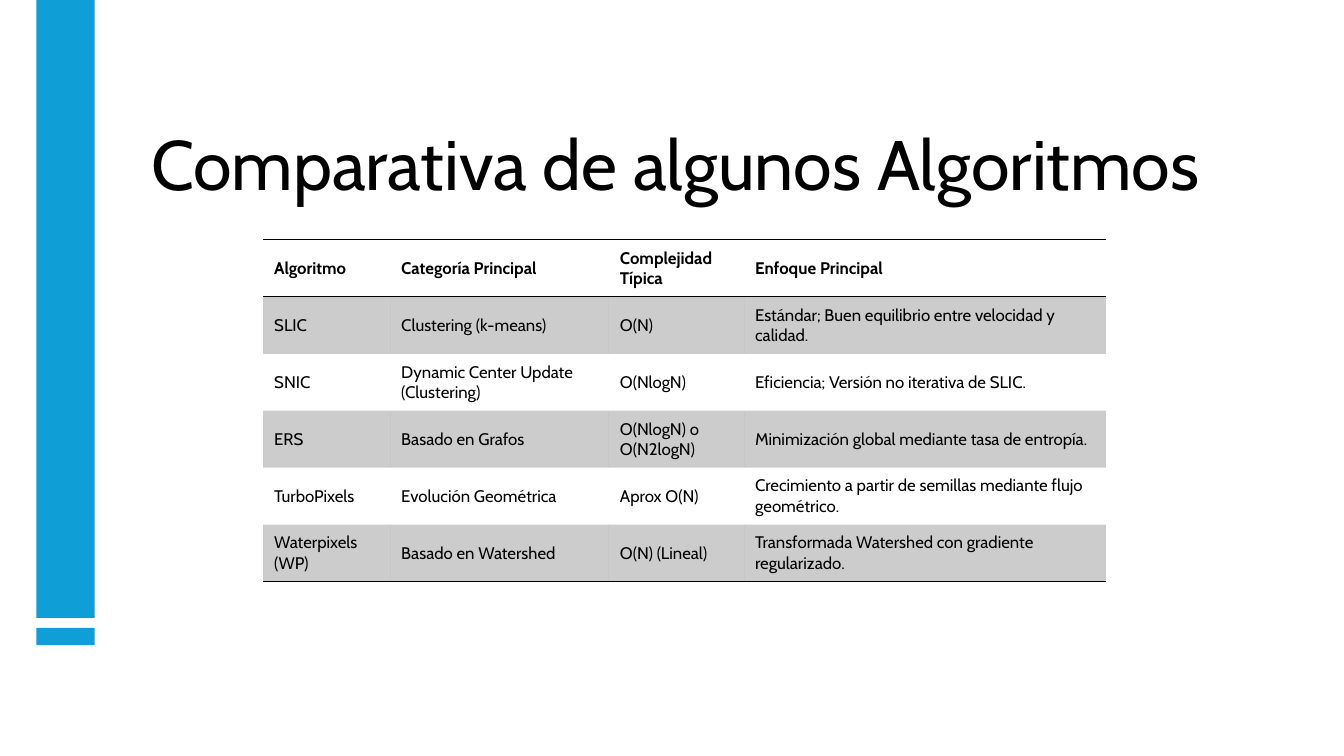
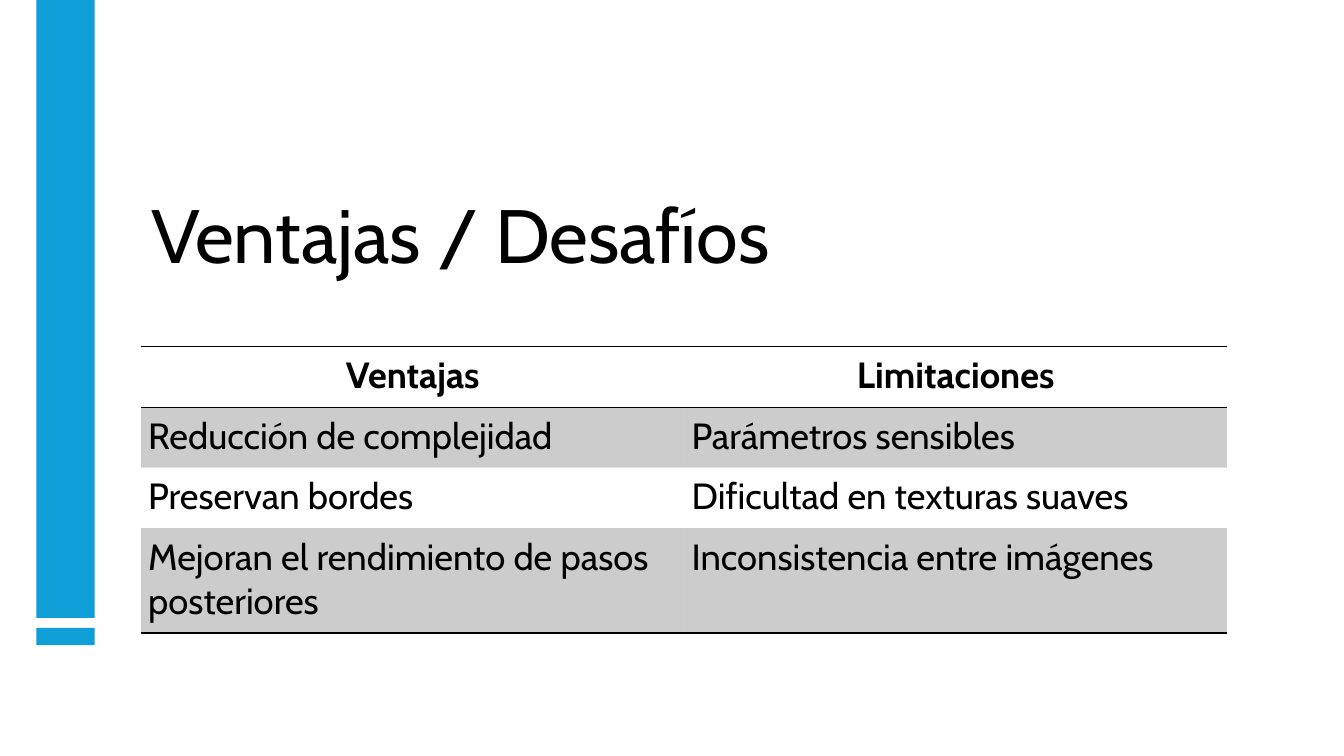
from dataclasses import dataclass

from lxml import etree
from pptx import Presentation
from pptx.dml.color import RGBColor
from pptx.enum.shapes import MSO_SHAPE
from pptx.enum.text import MSO_ANCHOR, PP_ALIGN
from pptx.oxml.ns import qn
from pptx.slide import Slide
from pptx.table import _Cell
from pptx.text.text import TextFrame
from pptx.util import Inches, Pt

RECT = MSO_SHAPE.RECTANGLE
TOP, MIDDLE, BOTTOM = MSO_ANCHOR.TOP, MSO_ANCHOR.MIDDLE, MSO_ANCHOR.BOTTOM
LEFT, CENTER = PP_ALIGN.LEFT, PP_ALIGN.CENTER
PLAIN = "{2D5ABB26-0587-4C30-8999-92F81FD0307C}"


@dataclass(frozen=True)
class Theme:
    font: str = "Cabin"
    ink: str = "000000"
    band: str = "0F9ED5"
    shade: int = 20
    rule: float = 1
    small: float = 12
    large: float = 26


@dataclass(frozen=True)
class Box:
    left: float
    top: float
    width: float
    height: float


@dataclass(frozen=True)
class Grid:
    left: float
    top: float
    cols: tuple[float, ...]
    rows: tuple[float, ...]
    cells: tuple[tuple[str, ...], ...]
    size: float
    pad: tuple[float, float]
    anchor: MSO_ANCHOR
    head: PP_ALIGN


@dataclass(frozen=True)
class Page:
    title: str
    size: float
    top: float
    grid: Grid


THEME = Theme()
BANDS = (Box(0.36, 6.23, 0.58, 0.17), Box(0.36, 0, 0.58, 6.13))
PAGES = (
    Page("Comparativa de algunos Algoritmos", 50, 0.61, Grid(
        2.61, 2.38, (1.26, 2.17, 1.34, 3.59), (0.565,) * 6,
        (
            ("Algoritmo", "Categoría Principal", "Complejidad Típica",
             "Enfoque Principal"),
            ("SLIC", "Clustering (k-means)", "O(N)",
             "Estándar; Buen equilibrio entre velocidad y calidad."),
            ("SNIC", "Dynamic Center Update (Clustering)", "O(NlogN)",
             "Eficiencia; Versión no iterativa de SLIC."),
            ("ERS", "Basado en Grafos", "O(NlogN) o O(N2logN)",
             "Minimización global mediante tasa de entropía."),
            ("TurboPixels", "Evolución Geométrica", "Aprox O(N)",
             "Crecimiento a partir de semillas mediante flujo geométrico."),
            ("Waterpixels (WP)", "Basado en Watershed", "O(N) (Lineal)",
             "Transformada Watershed con gradiente regularizado."),
        ),
        THEME.small, (0.11, 0.06), MIDDLE, LEFT)),
    Page("Ventajas / Desafíos", 54, 1.35, Grid(
        1.4, 3.44, (5.39, 5.38), (0.6, 0.6, 0.6, 1.04),
        (
            ("Ventajas", "Limitaciones"),
            ("Reducción de complejidad", "Parámetros sensibles"),
            ("Preservan bordes", "Dificultad en texturas suaves"),
            ("Mejoran el rendimiento de pasos posteriores",
             "Inconsistencia entre imágenes"),
        ),
        THEME.large, (0.07, 0.07), TOP, CENTER)),
)


def write(frame: TextFrame, text: str, *, size: float, bold: bool = False,
          align: PP_ALIGN = LEFT, space: float = 1) -> None:
    para = frame.paragraphs[0]
    para.alignment = align
    para.line_spacing = space
    run = para.add_run()
    run.text = text
    run.font.name = THEME.font
    run.font.size = Pt(size)
    run.font.bold = bold
    run.font.color.rgb = RGBColor.from_string(THEME.ink)


def add_band(slide: Slide, box: Box) -> None:
    band = slide.shapes.add_shape(RECT, Inches(box.left), Inches(box.top),
                                  Inches(box.width), Inches(box.height))
    band.shadow.inherit = False
    band.fill.solid()
    band.fill.fore_color.rgb = RGBColor.from_string(THEME.band)
    band.line.fill.background()


def add_title(slide: Slide, page: Page) -> None:
    box = slide.shapes.add_textbox(Inches(1.4), Inches(page.top),
                                   Inches(10.77), Inches(1.48))
    box.text_frame.word_wrap = True
    box.text_frame.vertical_anchor = BOTTOM
    write(box.text_frame, page.title, size=page.size, space=0.9)


def add_rule(cell: _Cell, side: str) -> None:
    props = cell._tc.get_or_add_tcPr()
    line = etree.SubElement(props, qn(f"a:ln{side}"), w=str(Pt(THEME.rule)))
    fill = etree.SubElement(line, qn("a:solidFill"))
    etree.SubElement(fill, qn("a:srgbClr"), val=THEME.ink)


def shade(cell: _Cell) -> None:
    cell.fill.solid()
    cell.fill.fore_color.rgb = RGBColor.from_string(THEME.ink)
    tint = cell._tc.tcPr.find(f"{qn('a:solidFill')}/{qn('a:srgbClr')}")
    etree.SubElement(tint, qn("a:alpha"), val=str(THEME.shade * 1000))


def fill_cell(cell: _Cell, text: str, row: int, grid: Grid) -> None:
    first, last = row == 0, row == len(grid.rows) - 1
    cell.margin_left = cell.margin_right = Inches(grid.pad[0])
    cell.margin_top = cell.margin_bottom = Inches(grid.pad[1])
    cell.vertical_anchor = grid.anchor
    write(cell.text_frame, text, size=grid.size, bold=first,
          align=grid.head if first else LEFT)
    if first:
        add_rule(cell, "T")
    if first or last:
        add_rule(cell, "B")
    if row % 2:
        shade(cell)
    else:
        cell.fill.background()


def add_grid(slide: Slide, grid: Grid) -> None:
    frame = slide.shapes.add_table(
        len(grid.rows), len(grid.cols), Inches(grid.left), Inches(grid.top),
        Inches(sum(grid.cols)), Inches(sum(grid.rows)))
    table = frame.table
    table.first_row = table.horz_banding = False
    for style in table._tbl.iter(qn("a:tableStyleId")):
        style.text = PLAIN
    for col, width in zip(table.columns, grid.cols):
        col.width = Inches(width)
    for row, height in enumerate(grid.rows):
        table.rows[row].height = Inches(height)
        for col, text in enumerate(grid.cells[row]):
            fill_cell(table.cell(row, col), text, row, grid)


def main() -> None:
    deck = Presentation()
    deck.slide_width, deck.slide_height = Inches(13.33), Inches(7.5)
    for page in PAGES:
        slide = deck.slides.add_slide(deck.slide_layouts[6])
        for band in BANDS:
            add_band(slide, band)
        add_title(slide, page)
        add_grid(slide, page.grid)
    deck.save("out.pptx")


if __name__ == "__main__":
    main()
